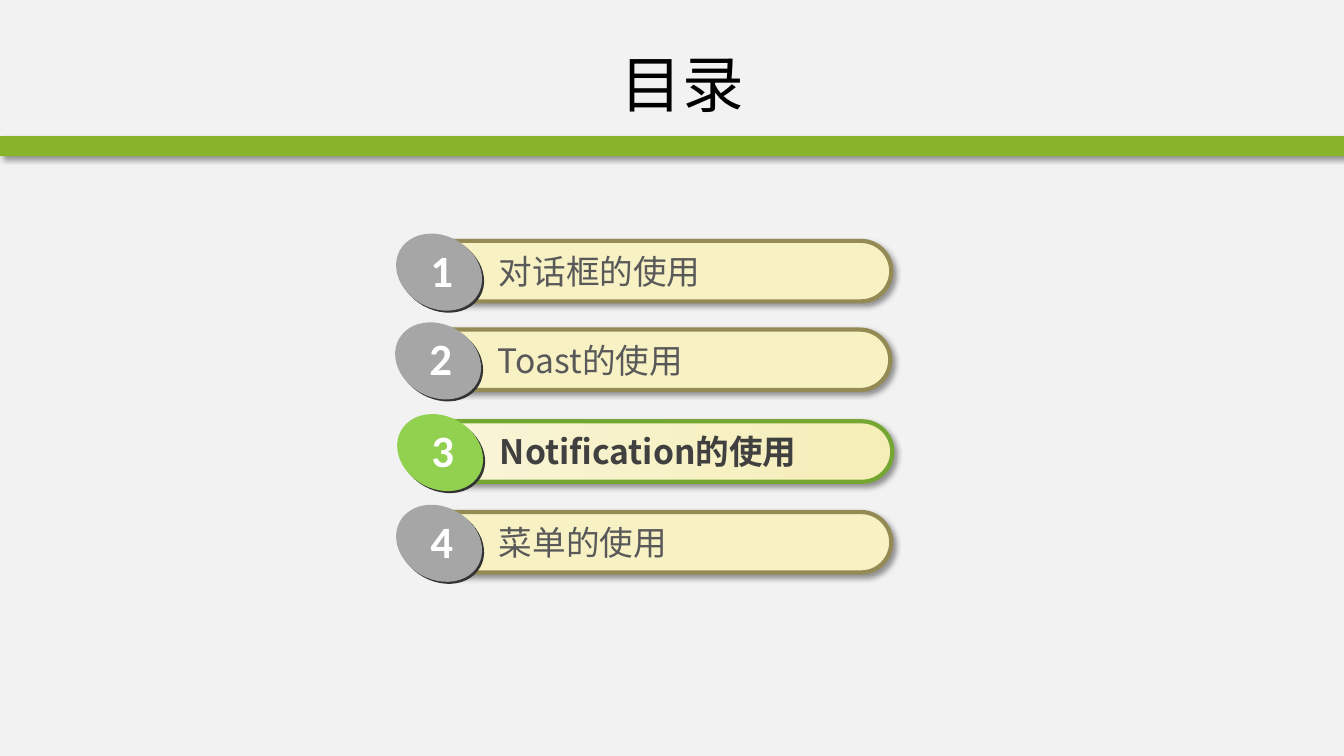
import pptx
import pptx.util
import pptx.dml.color
import pptx.enum.shapes
import pptx.enum.text
import pptx.oxml
import pptx.oxml.ns
from lxml import etree

Inches = pptx.util.Inches
Shape = pptx.enum.shapes.MSO_SHAPE
Align = pptx.enum.text.PP_ALIGN
Anchor = pptx.enum.text.MSO_ANCHOR
color = pptx.dml.color.RGBColor.from_string
SHADOW = (
    '<a:effectLst xmlns:a="http://schemas.openxmlformats.org/drawingml/2006/main">'
    '<a:outerShdw blurRad="50800" dist="38100" dir="2700000" algn="tl" rotWithShape="0">'
    '<a:srgbClr val="000000"><a:alpha val="40000"/></a:srgbClr>'
    '</a:outerShdw></a:effectLst>'
)


def add_figure(shapes, kind, left, top, width, height, fill, line=None, shadow=False):
    figure = shapes.add_shape(kind, Inches(left), Inches(top), Inches(width), Inches(height))
    figure.fill.solid()
    figure.fill.fore_color.rgb = color(fill)
    if line:
        figure.line.color.rgb = color(line)
        figure.line.width = pptx.util.Pt(3)
    else:
        figure.line.fill.background()
    if shadow:
        figure._element.spPr.append(pptx.oxml.parse_xml(SHADOW))
    else:
        figure.shadow.inherit = False
    return figure


def add_text(shapes, text, left, top, width, height, size, ink,
             font="Noto Sans CJK SC", bold=False, align=Align.LEFT, wrap=True):
    box = shapes.add_textbox(Inches(left), Inches(top), Inches(width), Inches(height))
    box.text_frame.word_wrap = wrap
    box.text_frame.vertical_anchor = Anchor.MIDDLE
    para = box.text_frame.paragraphs[0]
    para.alignment = align
    span = para.add_run()
    span.text = text
    span.font.size = pptx.util.Pt(size)
    span.font.bold = bold
    span.font.color.rgb = color(ink)
    span.font.name = font
    # East Asian characters take their typeface from a:ea
    east_asian = etree.SubElement(span.font._element, pptx.oxml.ns.qn("a:ea"))
    east_asian.set("typeface", font)


deck = pptx.Presentation()
deck.slide_width = Inches(13.33)
deck.slide_height = Inches(7.5)
page = deck.slides.add_slide(deck.slide_layouts[6])
page.background.fill.solid()
page.background.fill.fore_color.rgb = color("F2F2F2")

# Heading and green band
add_figure(page.shapes, Shape.RECTANGLE, 0, 1.35, 13.33, 0.2, "88B429", shadow=True)
add_text(page.shapes, "目录", 1.39, 0.3, 10.76, 1.05, 44, "000000", align=Align.CENTER)

# Contents entries: title, left and top of the bar
entries = [
    ("对话框的使用", 4.13, 2.39),
    ("Toast的使用", 4.12, 3.27),
    ("Notification的使用", 4.14, 4.18),
    ("菜单的使用", 4.13, 5.08),
]
CURRENT = 3
for number, (title, left, top) in enumerate(entries, start=1):
    current = number == CURRENT
    shapes = page.shapes.add_group_shape().shapes

    # Rounded bar with its title
    bar = add_figure(shapes, Shape.ROUNDED_RECTANGLE, left, top, 4.71, 0.6, "F7F1C4",
                     line="74A731" if current else "948A54", shadow=True)
    bar.adjustments[0] = 0.5
    if current:
        bar.fill.gradient()
        bar.fill.gradient_angle = 0
        for stop, shade in zip(bar.fill.gradient_stops, ("F9F5D9", "F5EEB7")):
            stop.color.rgb = color(shade)
    add_text(shapes, title, left + 0.72, top + 0.05, 3.75, 0.5, 24,
             "404040" if current else "595959", bold=current)

    # Tilted badge over its dark edge
    badge = "92D050" if current else "A6A6A6"
    for shift, fill in ((0.02, "333333"), (0, badge)):
        disc = add_figure(shapes, Shape.OVAL, left - 0.22 + shift, top - 0.05 + shift,
                          0.89, 0.72, fill)
        disc.rotation = 29.3
    add_text(shapes, str(number), left + 0.04, top - 0.04, 0.43, 0.64, 32, "FFFFFF",
             font="Calibri", bold=True, wrap=False)

deck.save("out.pptx")
